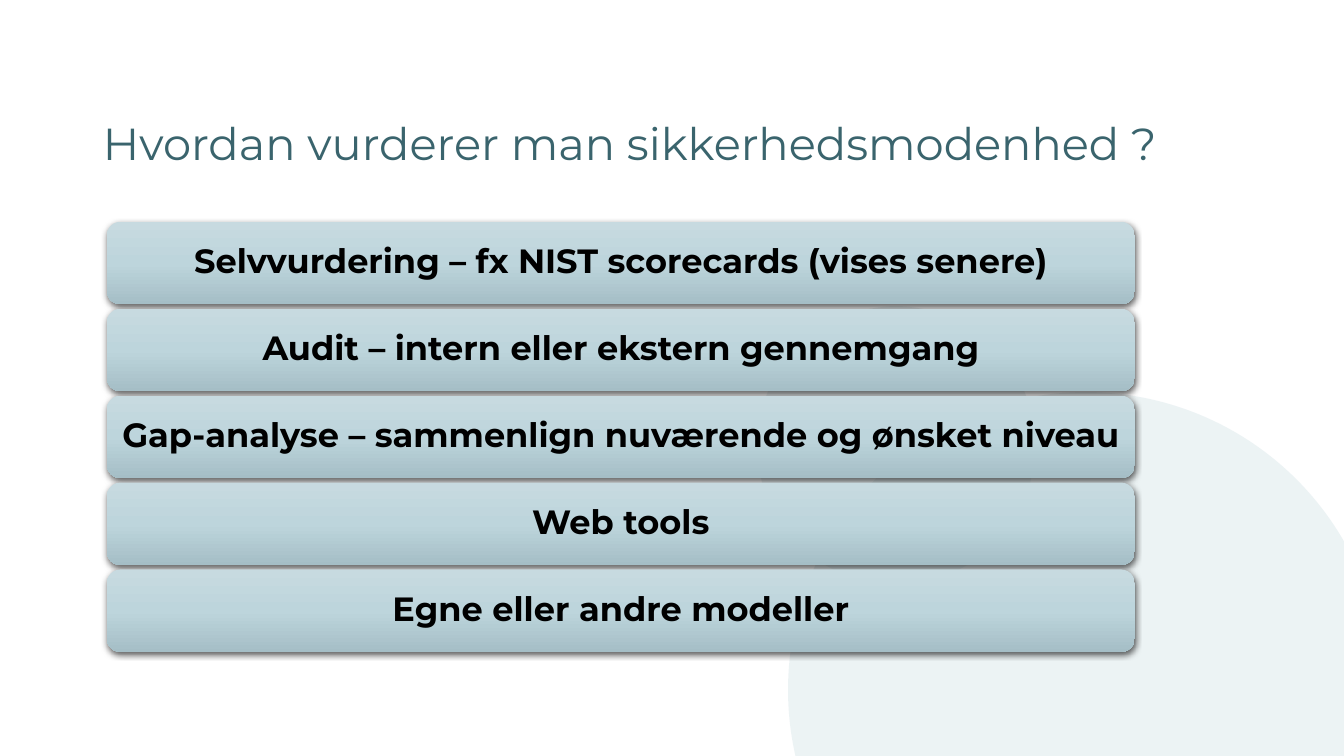
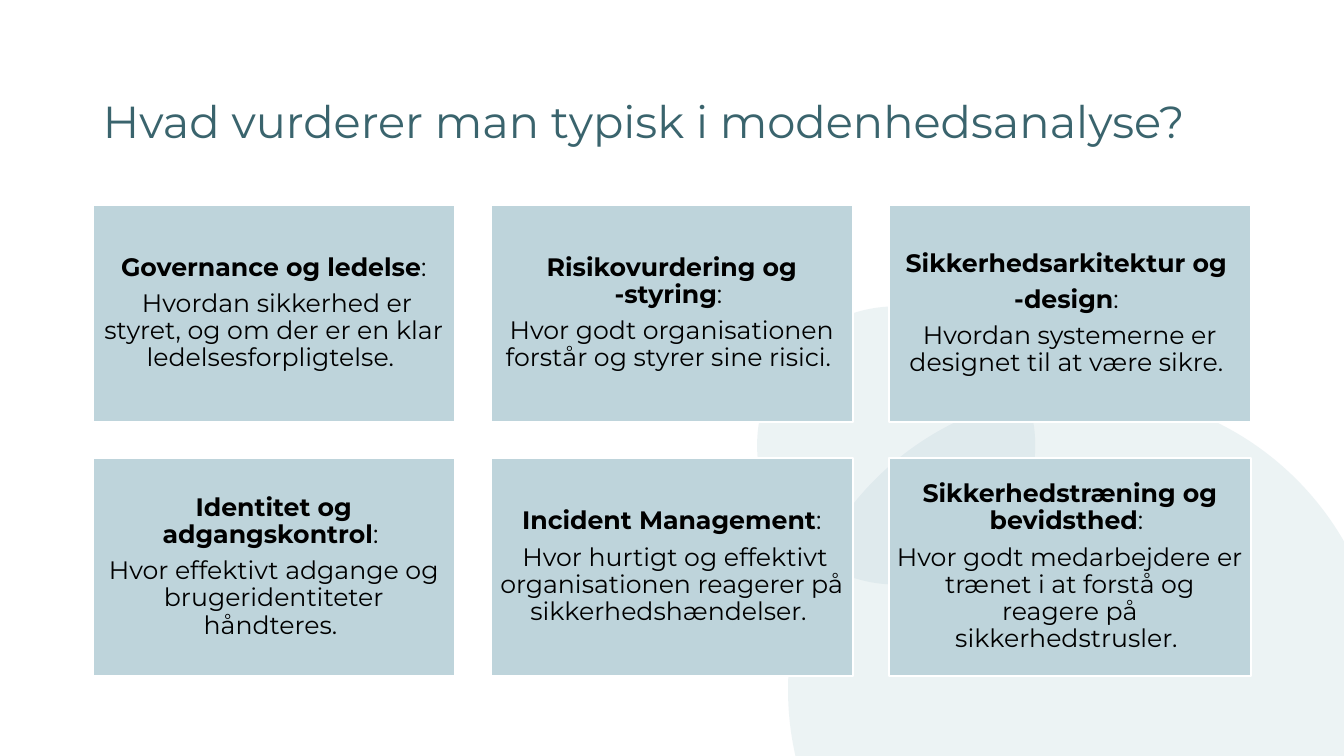
import copy
import dataclasses

import lxml.etree
import pptx
import pptx.dml.color
import pptx.enum.shapes
import pptx.enum.text
import pptx.oxml.ns
import pptx.util

Cm = pptx.util.Cm
Pt = pptx.util.Pt
qn = pptx.oxml.ns.qn
Preset = pptx.enum.shapes.MSO_SHAPE
Align = pptx.enum.text.PP_ALIGN
Anchor = pptx.enum.text.MSO_ANCHOR


@dataclasses.dataclass(frozen=True)
class Theme:
    font: str = "Montserrat"
    title_color: str = "3A646D"
    text_color: str = "000000"
    tint: str = "BED4DB"
    edge: str = "FFFFFF"
    shadow: str = "000000"
    bar_gradient: tuple = ((0, "C7DAE0"), (0.5, "BDD5DC"), (1, "A5BEC6"))
    title_size: int = 32
    bar_size: int = 24
    card_size: int = 18
    line_spacing: float = 0.9
    space_after: float = 0.35  # share of the type size
    circle_opacity: int = 28  # percent


THEME = Theme()

# left, top, diameter in cm
CIRCLES = ((19.86, 9.88, 15.01), (19.08, 7.72, 7.01))

METHODS = (
    "Selvvurdering – fx NIST scorecards (vises senere)",
    "Audit – intern eller ekstern gennemgang",
    "Gap-analyse – sammenlign nuværende og ønsket niveau",
    "Web tools",
    "Egne eller andre modeller",
)

# heading lines, colon, description
AREAS = (
    (("Governance og ledelse",), ":",
     " Hvordan sikkerhed er styret, og om der er en klar ledelsesforpligtelse. "),
    (("Risikovurdering og -styring",), ": ",
     "Hvor godt organisationen forstår og styrer sine risici. "),
    (("Sikkerhedsarkitektur og ", "-design"), ": ",
     "Hvordan systemerne er designet til at være sikre. "),
    (("Identitet og adgangskontrol",), ": ",
     "Hvor effektivt adgange og brugeridentiteter håndteres. "),
    (("Incident Management",), ":",
     " Hvor hurtigt og effektivt organisationen reagerer på sikkerhedshændelser. "),
    (("Sikkerhedstræning og bevidsthed",), ": ",
     "Hvor godt medarbejdere er trænet i at forstå og reagere på sikkerhedstrusler. "),
)


def rgb(value):
    return pptx.dml.color.RGBColor.from_string(value)


def add_span(para, text, size, color=THEME.text_color, bold=False):
    span = para.add_run()
    span.text = text
    span.font.name = THEME.font
    span.font.size = Pt(size)
    span.font.bold = bold
    span.font.color.rgb = rgb(color)


def write_centred(box, paragraphs, size, inset):
    """Fill a box with paragraphs, each a list of (text, bold) pairs."""
    frame = box.text_frame
    frame.word_wrap = True
    frame.vertical_anchor = Anchor.MIDDLE
    frame.margin_left = frame.margin_right = Cm(inset)
    frame.margin_top = frame.margin_bottom = Cm(inset)
    for index, spans in enumerate(paragraphs):
        para = frame.add_paragraph() if index else frame.paragraphs[0]
        para.alignment = Align.CENTER
        para.line_spacing = THEME.line_spacing
        para.space_after = Pt(size * THEME.space_after)
        for text, bold in spans:
            add_span(para, text, size, bold=bold)


def add_box(page, preset, left, top, width, height):
    box = page.shapes.add_shape(preset, Cm(left), Cm(top), Cm(width), Cm(height))
    box.shadow.inherit = False
    box.line.fill.background()
    return box


def fill_solid(box, color):
    box.fill.solid()
    box.fill.fore_color.rgb = rgb(color)


def add_alpha(color_element, percent):
    lxml.etree.SubElement(color_element, qn("a:alpha"), val=str(percent * 1000))


def fill_gradient(box, stops):
    """Fill from top to bottom with three colour stops."""
    box.fill.gradient()
    box.fill.gradient_angle = 270
    stop_list = box.element.spPr.find(".//" + qn("a:gsLst"))
    stop_list.insert(1, copy.deepcopy(stop_list[0]))
    for stop, (position, color) in zip(box.fill.gradient_stops, stops):
        stop.position = position
        stop.color.rgb = rgb(color)


def add_drop_shadow(box):
    effects = box.element.spPr.find(qn("a:effectLst"))
    shadow = lxml.etree.SubElement(
        effects, qn("a:outerShdw"), blurRad=str(Pt(4.5)), dist=str(Pt(1.5)),
        dir="5400000", algn="ctr", rotWithShape="0")
    color = lxml.etree.SubElement(shadow, qn("a:srgbClr"), val=THEME.shadow)
    add_alpha(color, 63)


def place_title(layout):
    title = next(iter(layout.placeholders))
    title.left, title.top = Cm(2.34), Cm(1.85)
    title.width, title.height = Cm(29.21), Cm(2.57)


def move_circles_to_layout(page, layout):
    """Draw the background circles once, behind everything in the layout."""
    for index, (left, top, diameter) in enumerate(CIRCLES):
        circle = add_box(page, Preset.OVAL, left, top, diameter, diameter)
        fill_solid(circle, THEME.tint)
        add_alpha(circle.element.spPr.find(".//" + qn("a:srgbClr")),
                  THEME.circle_opacity)
        circle.element.nvSpPr.cNvPr.set("id", str(100 + index))
        layout.shapes.element.insert(2 + index, circle.element)


def set_title(page, text, anchor):
    frame = page.shapes.title.text_frame
    frame.auto_size = pptx.enum.text.MSO_AUTO_SIZE.NONE
    frame.word_wrap = True
    frame.vertical_anchor = anchor
    para = frame.paragraphs[0]
    para.alignment = Align.LEFT
    para.line_spacing = THEME.line_spacing
    add_span(para, text, THEME.title_size, THEME.title_color)


def add_method_bars(page):
    left, top, width, height, pitch = 2.69, 5.59, 25.91, 2.08, 2.19
    for row, method in enumerate(METHODS):
        bar = add_box(page, Preset.ROUNDED_RECTANGLE,
                      left, top + row * pitch, width, height)
        fill_gradient(bar, THEME.bar_gradient)
        add_drop_shadow(bar)
        write_centred(bar, [[(method, True)]], THEME.bar_size, 0.2)


def add_area_cards(page):
    left, top, width, height, gap, columns = 2.34, 5.16, 9.12, 5.48, 0.91, 3
    for index, (heading, colon, description) in enumerate(AREAS):
        row, column = divmod(index, columns)
        card = add_box(page, Preset.RECTANGLE, left + column * (width + gap),
                       top + row * (height + gap), width, height)
        fill_solid(card, THEME.tint)
        card.line.color.rgb = rgb(THEME.edge)
        card.line.width = Pt(1.5)
        paragraphs = [[(line, True)] for line in heading]
        paragraphs[-1].append((colon, False))
        paragraphs.append([(description, False)])
        write_centred(card, paragraphs, THEME.card_size, 0.18)


def main():
    deck = pptx.Presentation()
    deck.slide_width, deck.slide_height = Cm(33.87), Cm(19.05)
    layout = deck.slide_layouts.get_by_name("Title Only")
    place_title(layout)

    methods_page = deck.slides.add_slide(layout)
    move_circles_to_layout(methods_page, layout)
    set_title(methods_page, "Hvordan vurderer man sikkerhedsmodenhed ?", Anchor.BOTTOM)
    add_method_bars(methods_page)

    areas_page = deck.slides.add_slide(layout)
    set_title(areas_page, "Hvad vurderer man typisk i modenhedsanalyse?", Anchor.MIDDLE)
    add_area_cards(areas_page)

    deck.save("out.pptx")


if __name__ == "__main__":
    main()
